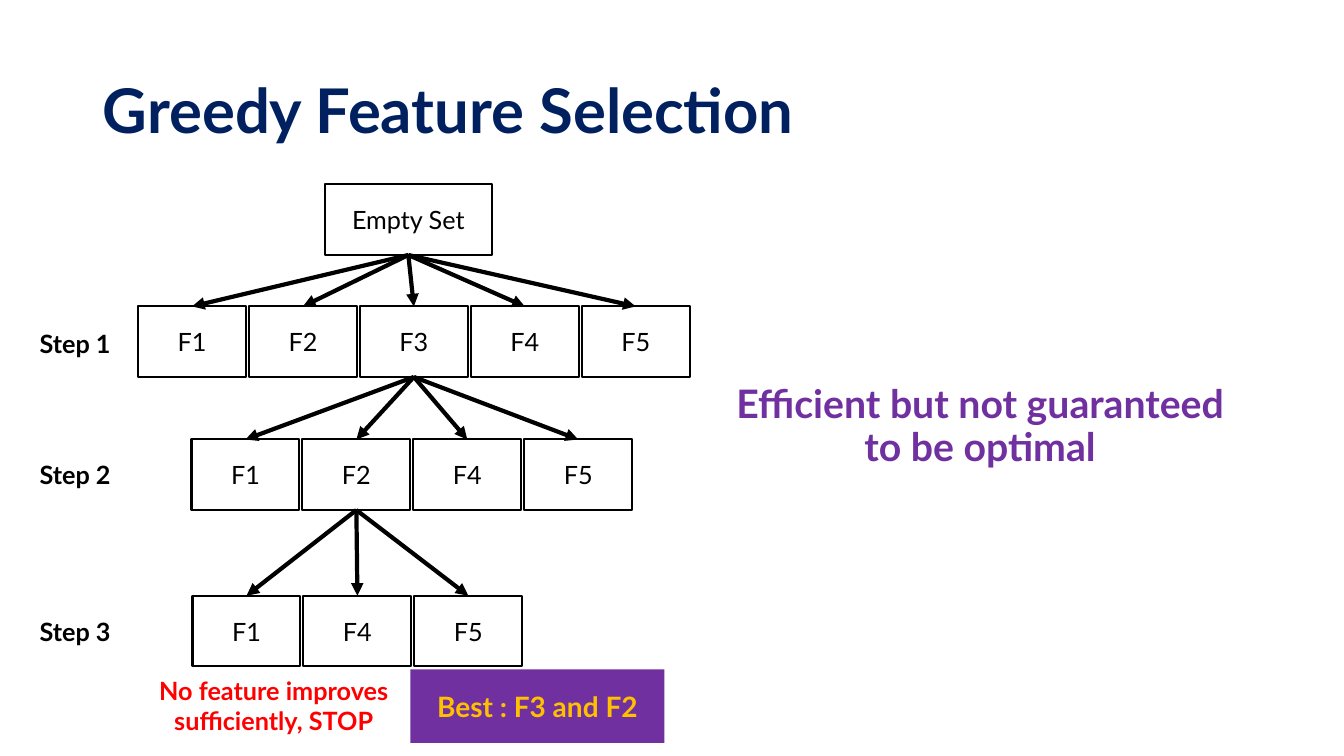
import pptx
import pptx.util
import pptx.dml.color
import pptx.enum.shapes
import pptx.enum.text
import pptx.oxml
import pptx.oxml.ns

Inches = pptx.util.Inches
Pt = pptx.util.Pt
ALIGN = pptx.enum.text.PP_ALIGN
ANCHOR = pptx.enum.text.MSO_ANCHOR
TOP_SITE, BOTTOM_SITE = 0, 2

COLOURS = {
    "navy": "002060",
    "purple": "7030A0",
    "gold": "FFC000",
    "red": "FF0000",
    "black": "000000",
    "white": "FFFFFF",
}


def colour(name):
    return pptx.dml.color.RGBColor.from_string(COLOURS[name])


class TreeSlide:
    """Holds the current slide and the style shared by its elements."""

    font = "Lato"
    arrow_width = Pt(3)
    border_width = Pt(1.5)

    def __init__(self, deck):
        self.slide = deck.slides.add_slide(deck.slide_layouts[5])

    def set_text(self, holder, text, size, ink, bold=False, align=ALIGN.CENTER,
                 anchor=ANCHOR.MIDDLE, spacing=1.0, inset=0.1):
        frame = holder.text_frame
        frame.text = text
        paragraph = frame.paragraphs[0]
        formats = (
            (frame, {"word_wrap": True,
                     "auto_size": pptx.enum.text.MSO_AUTO_SIZE.NONE,
                     "vertical_anchor": anchor,
                     "margin_left": Inches(inset),
                     "margin_right": Inches(inset)}),
            (paragraph, {"alignment": align, "line_spacing": spacing}),
            (paragraph.runs[0].font, {"name": self.font, "size": Pt(size),
                                      "bold": bold}),
        )
        for target, values in formats:
            for attribute, value in values.items():
                setattr(target, attribute, value)
        paragraph.runs[0].font.color.rgb = colour(ink)

    def title(self, text, place, **style):
        heading = self.slide.shapes.title
        for side, length in zip(("left", "top", "width", "height"), place):
            setattr(heading, side, Inches(length))
        self.set_text(heading, text, **style)

    def note(self, text, place, **style):
        self.set_text(self.slide.shapes.add_textbox(*map(Inches, place)), text, **style)

    def box(self, text, place, fill="white", border=None, **style):
        rectangle = self.slide.shapes.add_shape(
            pptx.enum.shapes.MSO_SHAPE.RECTANGLE, *map(Inches, place))
        rectangle.shadow.inherit = False
        rectangle.fill.solid()
        rectangle.fill.fore_color.rgb = colour(fill)
        if border:
            rectangle.line.color.rgb = colour(border)
            rectangle.line.width = self.border_width
        else:
            rectangle.line.fill.background()
        self.set_text(rectangle, text, **style)
        return rectangle

    def arrow(self, parent, child):
        """Glue an arrow from the parent's bottom to the child's top."""
        link = self.slide.shapes.add_connector(
            pptx.enum.shapes.MSO_CONNECTOR.STRAIGHT, 0, 0, 0, 0)
        link.begin_connect(parent, BOTTOM_SITE)
        link.end_connect(child, TOP_SITE)
        link.line.color.rgb = colour("black")
        link.line.width = self.arrow_width
        properties = link._element.spPr
        namespace = pptx.oxml.ns.nsdecls("a")
        properties.find(pptx.oxml.ns.qn("a:ln")).append(
            pptx.oxml.parse_xml(f'<a:tailEnd {namespace} type="triangle"/>'))
        properties.append(pptx.oxml.parse_xml(f"<a:effectLst {namespace}/>"))


def main():
    deck = pptx.Presentation()
    deck.slide_width, deck.slide_height = Inches(13.33), Inches(7.5)
    page = TreeSlide(deck)

    page.title("Greedy Feature Selection", (0.92, 0.4, 11.5, 1.45), size=44,
               ink="navy", bold=True, align=ALIGN.LEFT, spacing=0.9)
    page.note("Efficient but not guaranteed to be optimal",
              (7.03, 3.77, 5.38, 3.33), size=28, ink="purple", bold=True,
              anchor=ANCHOR.TOP, spacing=0.9)

    node_style = {"border": "black", "size": 18, "ink": "black"}
    node_width, node_height, node_pitch = 1.07, 0.7, 1.1
    # step label, label top, row left, row top, features, feature kept
    steps = (
        ("Step 1", 3.04, 1.37, 3.04, ("F1", "F2", "F3", "F4", "F5"), "F3"),
        ("Step 2", 4.34, 1.9, 4.36, ("F1", "F2", "F4", "F5"), "F2"),
        ("Step 3", 5.9, 1.91, 5.91, ("F1", "F4", "F5"), None),
    )
    parent = page.box("Empty Set", (3.22, 1.83, 1.66, node_height), **node_style)
    for label, label_top, left, top, features, kept in steps:
        page.box(label, (0.28, label_top, 0.93, 0.73), size=18, ink="black",
                 bold=True, inset=0.05)
        nodes = {
            feature: page.box(
                feature,
                (left + column * node_pitch, top, node_width, node_height),
                **node_style)
            for column, feature in enumerate(features)
        }
        for node in nodes.values():
            page.arrow(parent, node)
        parent = nodes.get(kept)

    page.box("Best : F3 and F2", (4.07, 6.64, 2.52, 0.73), fill="purple",
             size=20, ink="gold", bold=True)
    page.note("No feature improves sufficiently, STOP", (1.15, 6.63, 3.13, 0.73),
              size=18, ink="red", bold=True)
    deck.save("out.pptx")


if __name__ == "__main__":
    main()
